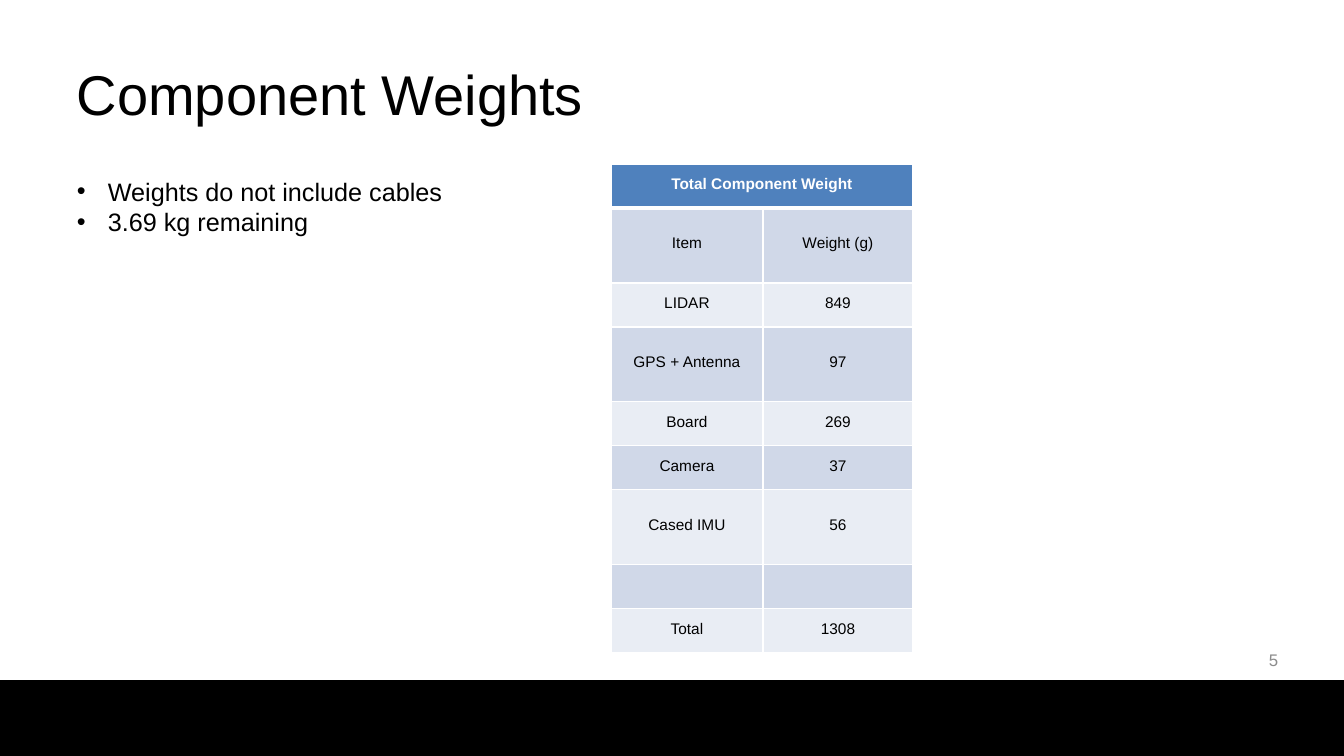
from lxml.etree import SubElement
from pptx import Presentation
from pptx.dml.color import RGBColor
from pptx.enum.shapes import MSO_SHAPE as Shape
from pptx.enum.text import MSO_ANCHOR as Anchor, PP_ALIGN as Align
from pptx.oxml.ns import qn
from pptx.util import Emu, Pt

BLACK = RGBColor(0x00, 0x00, 0x00)
WHITE = RGBColor(0xFF, 0xFF, 0xFF)
GRAY = RGBColor(0x8C, 0x8C, 0x8C)
HEADER_BLUE = RGBColor(0x4F, 0x81, 0xBD)
BAND_DARK = RGBColor(0xD0, 0xD8, 0xE8)
BAND_LIGHT = RGBColor(0xE9, 0xED, 0xF4)

WEIGHTS = [
    ("Total Component Weight", ""),
    ("Item", "Weight (g)"),
    ("LIDAR", "849"),
    ("GPS + Antenna", "97"),
    ("Board", "269"),
    ("Camera", "37"),
    ("Cased IMU", "56"),
    ("", ""),
    ("Total", "1308"),
]
TALL_ROWS = {"Item", "GPS + Antenna", "Cased IMU"}


def px(length):
    return Emu(round(length * 914400 / 100.8))


class SlideBuilder:
    font_name = "Arial"

    def __init__(self, presentation):
        self.slide = presentation.slides.add_slide(presentation.slide_layouts[6])

    def style(self, paragraph, size, color, align=Align.LEFT, bold=False):
        paragraph.alignment = align
        font = paragraph.font
        font.name, font.size, font.bold = self.font_name, Pt(size), bold
        font.color.rgb = color
        for run in paragraph.runs:
            run.font.name, run.font.size, run.font.bold = self.font_name, Pt(size), bold
            run.font.color.rgb = color

    def rectangle(self, left, top, width, height, color):
        shape = self.slide.shapes.add_shape(
            Shape.RECTANGLE, px(left), px(top), px(width), px(height))
        shape.shadow.inherit = False
        shape.fill.solid()
        shape.fill.fore_color.rgb = color
        shape.line.fill.background()

    def text(self, lines, left, top, width, height, size, color,
             align=Align.LEFT, anchor=Anchor.MIDDLE, bullet_indent=0):
        box = self.slide.shapes.add_textbox(px(left), px(top), px(width), px(height))
        frame = box.text_frame
        frame.word_wrap = True
        frame.vertical_anchor = anchor
        frame.text = "\n".join(lines)
        for paragraph in frame.paragraphs:
            if bullet_indent:
                self.bullet(paragraph, bullet_indent)
            self.style(paragraph, size, color, align)

    def bullet(self, paragraph, indent):
        properties = paragraph._p.get_or_add_pPr()
        properties.set("marL", str(px(indent)))
        properties.set("indent", str(-px(indent)))
        SubElement(properties, qn("a:buFont"), typeface=self.font_name)
        SubElement(properties, qn("a:buChar"), char="•")

    def borders(self, cell, top=1, bottom=1):
        properties = cell._tc.get_or_add_tcPr()
        for side, width in (("L", 1), ("R", 1), ("T", top), ("B", bottom)):
            line = SubElement(properties, qn(f"a:ln{side}"), w=str(Pt(width)))
            fill = SubElement(line, qn("a:solidFill"))
            SubElement(fill, qn("a:srgbClr"), val=str(WHITE))

    def table(self, rows, left, top, column_widths, row_heights):
        table = self.slide.shapes.add_table(
            len(rows), len(column_widths), px(left), px(top),
            px(sum(column_widths)), px(sum(row_heights))).table
        for column, width in zip(table.columns, column_widths):
            column.width = px(width)
        for row, height in zip(table.rows, row_heights):
            row.height = px(height)
        for r, values in enumerate(rows):
            header = r == 0
            band = HEADER_BLUE if header else BAND_DARK if r % 2 else BAND_LIGHT
            for c, value in enumerate(values):
                cell = table.cell(r, c)
                cell.margin_left = cell.margin_right = cell.margin_top = px(1)
                cell.margin_bottom = px(5)
                cell.vertical_anchor = Anchor.MIDDLE
                # Heavier rule between the header and the body
                self.borders(cell, top=3 if r == 1 else 1, bottom=3 if header else 1)
                cell.fill.solid()
                cell.fill.fore_color.rgb = band
                cell.text_frame.text = value
                self.style(cell.text_frame.paragraphs[0], 11,
                           WHITE if header else BLACK, Align.CENTER, header)
        table.cell(0, 0).merge(table.cell(0, len(column_widths) - 1))


def main():
    presentation = Presentation()
    presentation.slide_width, presentation.slide_height = px(1344), px(756)
    builder = SlideBuilder(presentation)

    # Footer band, title and slide number
    builder.rectangle(0, 680, 1344, 76, BLACK)
    builder.text(["Component Weights"], 67, 30, 1210, 126, 40, BLACK)
    builder.text(["5"], 975, 640, 313, 40, 12, GRAY, Align.RIGHT)

    # Weight table
    heights = [75 if item in TALL_ROWS else 44 for item, _ in WEIGHTS]
    builder.table(WEIGHTS, 611, 164, [152, 150], heights)

    # Remarks
    builder.text(["Weights do not include cables", "3.69 kg remaining"],
                 67, 171, 499, 72, 18, BLACK, anchor=Anchor.TOP, bullet_indent=31)

    presentation.save("out.pptx")


if __name__ == "__main__":
    main()
